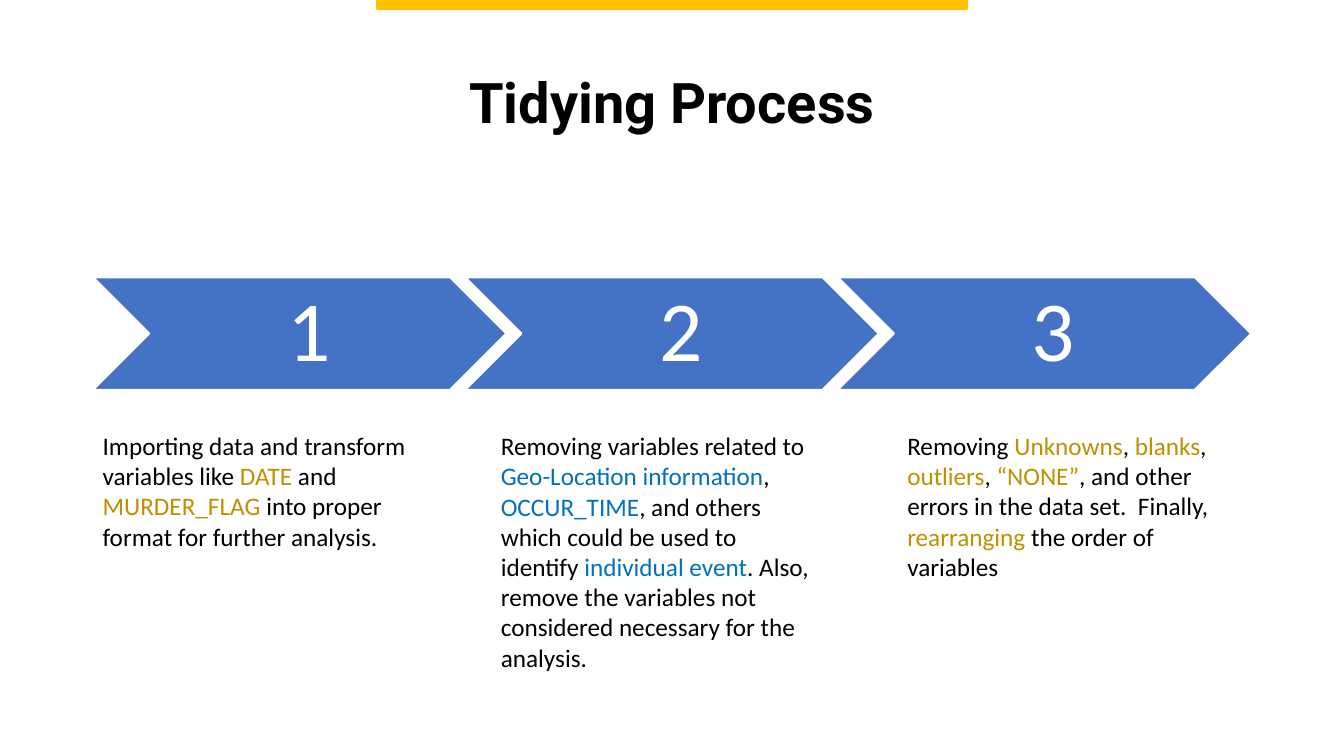
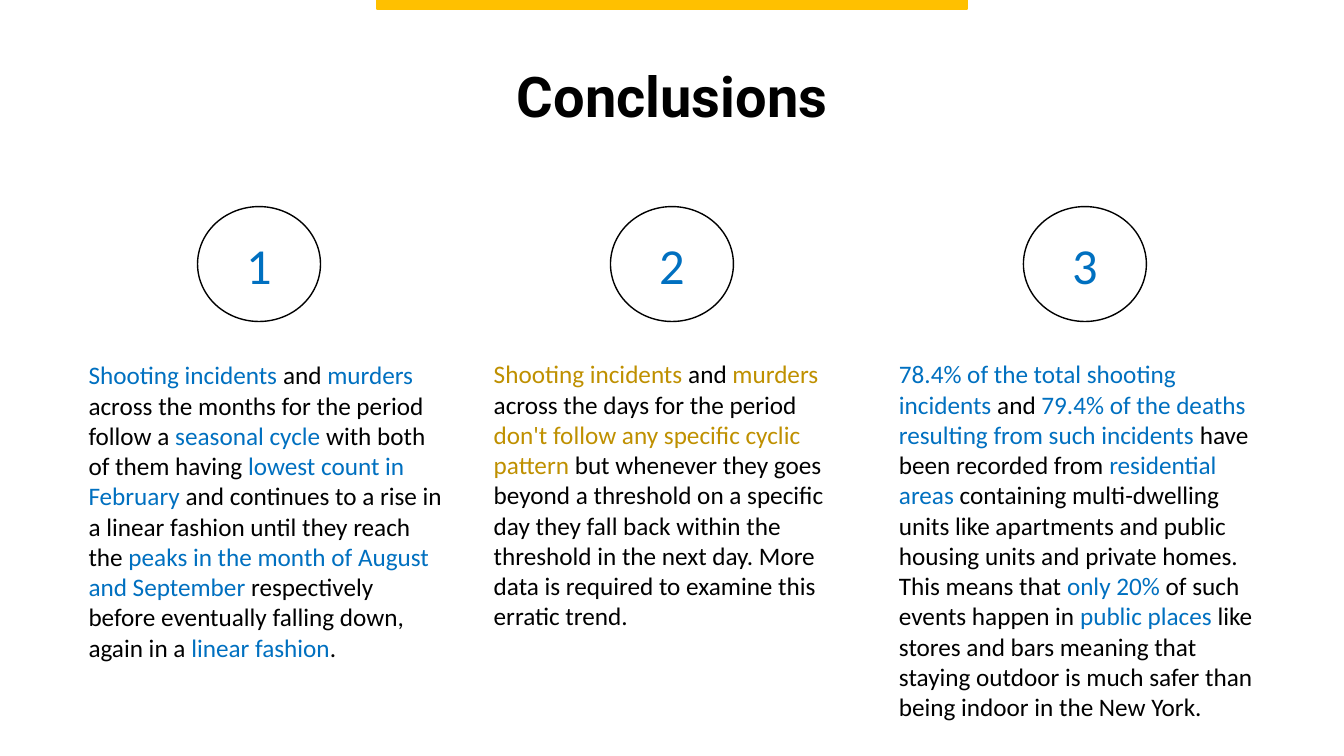
import pptx
import pptx.util
import pptx.dml.color
import pptx.enum.shapes
import pptx.enum.text

RGBColor = pptx.dml.color.RGBColor
Pt = pptx.util.Pt
SHAPE = pptx.enum.shapes.MSO_SHAPE
ALIGN = pptx.enum.text.PP_ALIGN
ANCHOR = pptx.enum.text.MSO_ANCHOR
FIT = pptx.enum.text.MSO_AUTO_SIZE

BLACK = RGBColor(0x00, 0x00, 0x00)
WHITE = RGBColor(0xFF, 0xFF, 0xFF)
AMBER = RGBColor(0xFF, 0xC0, 0x00)
GOLD = RGBColor(0xBF, 0x90, 0x00)
BLUE = RGBColor(0x00, 0x70, 0xC0)
STEEL = RGBColor(0x44, 0x72, 0xC4)

deck = pptx.Presentation()
deck.slide_width = pptx.util.Inches(13.33)
deck.slide_height = pptx.util.Inches(7.5)
COL = deck.slide_width / 100
ROW = deck.slide_height / 100


def place(box):
    x, y, w, h = box
    return int(x * COL), int(y * ROW), int(w * COL), int(h * ROW)


def write(shape, text, size=18, font="Calibri", color=BLACK, accent=BLUE,
          bold=False, align=ALIGN.LEFT, anchor=ANCHOR.TOP, space=1.0):
    frame = shape.text_frame
    frame.word_wrap = True
    frame.vertical_anchor = anchor
    para = frame.paragraphs[0]
    para.alignment = align
    para.line_spacing = space
    for i, part in enumerate(text.split("|")):
        if part:
            run = para.add_run()
            run.text = part
            run.font.size = Pt(size)
            run.font.name = font
            run.font.bold = bold
            run.font.color.rgb = accent if i % 2 else color
    return frame


def draw(slide, kind, box, fill, line, width=1):
    shape = slide.shapes.add_shape(kind, *place(box))
    shape.shadow.inherit = False
    shape.fill.solid()
    shape.fill.fore_color.rgb = fill
    shape.line.color.rgb = line
    shape.line.width = Pt(width)
    return shape


def start(title, top):
    slide = deck.slides.add_slide(deck.slide_layouts[6])
    head = slide.shapes.add_textbox(*place((6.88, top, 86.25, 19.33)))
    write(head, title, size=40, font="Roboto", bold=True,
          align=ALIGN.CENTER, anchor=ANCHOR.MIDDLE, space=0.9)
    draw(slide, SHAPE.RECTANGLE, (28.06, 0, 43.88, 1.2), AMBER, AMBER)
    return slide


def note(slide, x, y, w, lines, text, accent):
    box = slide.shapes.add_textbox(*place((x, y, w, 1.33 + 4.03 * lines)))
    write(box, text, accent=accent).auto_size = FIT.SHAPE_TO_FIT_TEXT


def arrows(slide, box, count=3):
    x, y, w, h = box
    wide = w / (1 + 0.9 * (count - 1))
    for i in range(count):
        arrow = draw(slide, SHAPE.CHEVRON, (x + 0.9 * wide * i, y, wide, h),
                     STEEL, WHITE, 1.5)
        frame = write(arrow, str(i + 1), size=61, color=WHITE,
                      align=ALIGN.CENTER, anchor=ANCHOR.MIDDLE, space=0.9)
        frame.margin_left = pptx.util.Inches(0.27)
        frame.margin_right = pptx.util.Inches(0.09)


def rings(slide, box, count=3):
    x, y, w, h = box
    wide = 9.15
    step = (w - wide) / (count - 1)
    for i in range(count):
        ring = draw(slide, SHAPE.OVAL, (x + step * i, y, wide, h),
                    WHITE, BLACK)
        write(ring, str(i + 1), size=36, color=BLUE,
              align=ALIGN.CENTER, anchor=ANCHOR.MIDDLE)


STEPS = [
    (6.9, 4, GOLD,
     "Importing data and transform variables like |DATE| and |MURDER_FLAG |"
     "into proper format for further analysis."),
    (36.53, 8, BLUE,
     "Removing variables related to |Geo-Location information|, |OCCUR_TIME|"
     ", and others which could be used to identify |individual event|. Also, "
     "remove the variables not considered necessary for the analysis. "),
    (66.77, 5, GOLD,
     "Removing |Unknowns|, |blanks|, |outliers|, |\u201cNONE\u201d|, and other "
     "errors in the data set.  Finally, |rearranging| the order of variables"),
]

ENDS = [
    (46.93, 10, BLUE,
     "|Shooting incidents |and |murders| across the months for the period "
     "follow a |seasonal cycle |with both of them having |lowest count in "
     "February |and continues to a rise in a linear fashion until they reach "
     "the |peaks in the month of August and September |respectively before "
     "eventually falling down, again in a |linear fashion|."),
    (46.8, 9, GOLD,
     "|Shooting incidents |and |murders| across the days for the period "
     "|don't follow any specific cyclic pattern| but whenever they goes "
     "beyond a threshold on a specific day they fall back within the "
     "threshold in the next day. More data is required to examine this "
     "erratic trend."),
    (46.8, 12, BLUE,
     "|78.4% of the total shooting incidents |and |79.4% of the deaths "
     "resulting from such incidents |have been recorded from| residential "
     "areas| containing multi-dwelling units like apartments and public "
     "housing units and private homes. This means that |only 20% |of such "
     "events happen in |public places |like stores and bars meaning that "
     "staying outdoor is much safer than being indoor in the New York."),
]


def tidy():
    slide = start("Tidying Process", 4.27)
    arrows(slide, (6.9, 36.67, 86.2, 14.9))
    for left, lines, accent, text in STEPS:
        note(slide, left, 56.27, 24.68, lines, text, accent)


def close():
    slide = start("Conclusions", 3.47)
    rings(slide, (14.7, 27.33, 70.6, 15.2))
    for i, (top, lines, accent, text) in enumerate(ENDS):
        note(slide, 5.85 + 30.15 * i, top, 27.98, lines, text, accent)


tidy()
close()
deck.save("out.pptx")
